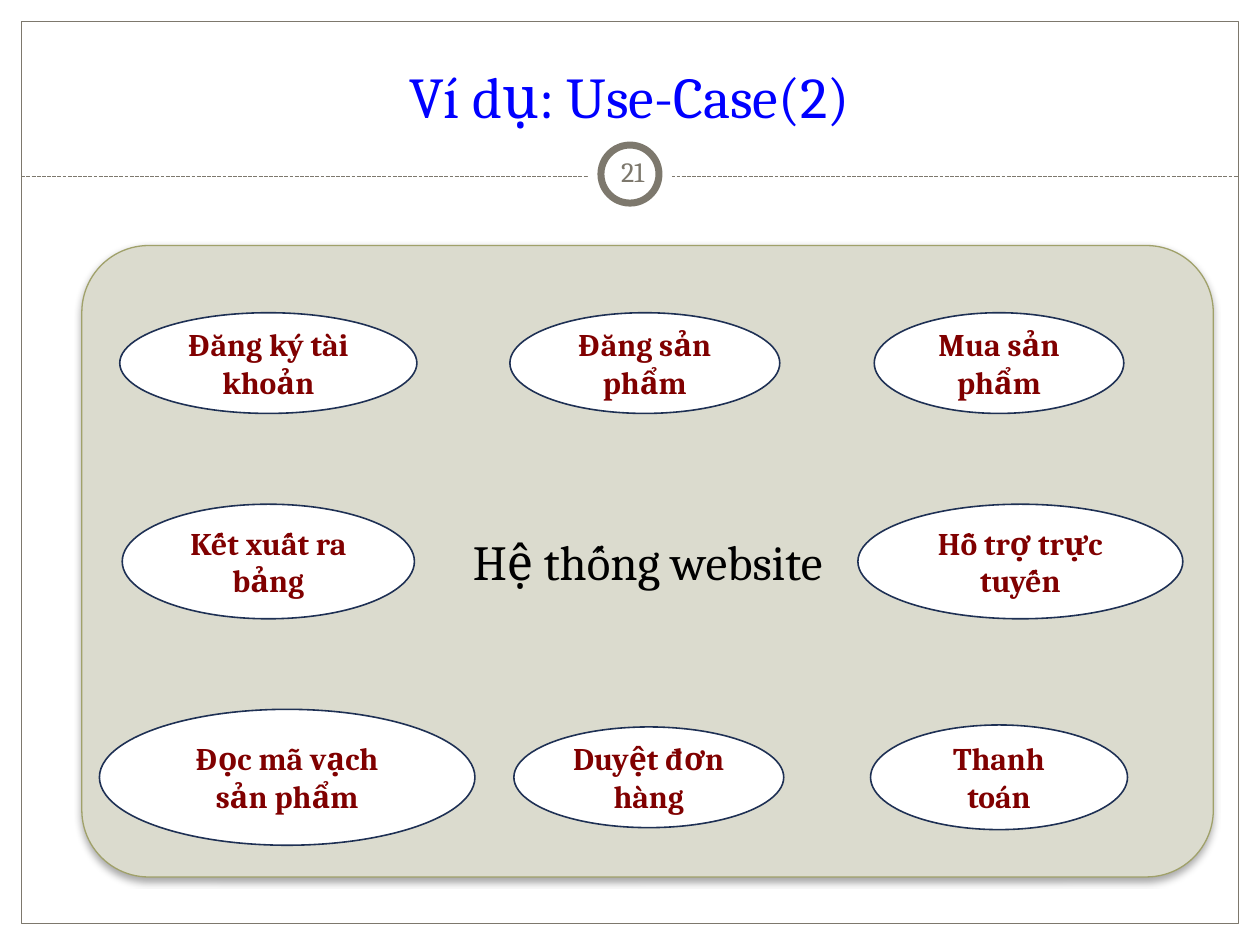
from lxml.etree import SubElement
from pptx import Presentation
from pptx.dml.color import RGBColor
from pptx.enum.dml import MSO_LINE
from pptx.enum.shapes import MSO_CONNECTOR, MSO_SHAPE as SHAPE
from pptx.enum.text import MSO_ANCHOR as ANCHOR, MSO_AUTO_SIZE, PP_ALIGN
from pptx.oxml.ns import qn
from pptx.util import Cm, Pt

# Content
TITLE = "Ví dụ: Use-Case(2)"
SYSTEM = "Hệ thống website"
NUMBER = "21"
# Each row: centre height, then use cases as (text, centre x, width, height)
ROWS = [
    (7.32, [("Đăng ký tài khoản", 5.41, 5.99, 2.03),
            ("Đăng sản phẩm", 13, 5.44, 2.03),
            ("Mua sản phẩm", 20.14, 5.03, 2.03)]),
    (11.32, [("Kết xuất ra bảng", 5.41, 5.89, 2.31),
             ("Hỗ trợ trực tuyến", 20.57, 6.55, 2.31)]),
    (15.67, [("Đọc mã vạch sản phẩm", 5.79, 7.57, 2.74),
             ("Duyệt đơn hàng", 13.08, 5.44, 2.03),
             ("Thanh toán", 20.14, 5.18, 2.11)]),
]
FONT = "Cambria"
GREY, WHITE = "7D786D", "FFFFFF"
W, H, MARGIN = 25.4, 19.05, 0.43
RULE_Y, BADGE_Y = 3.56, 3.51


def rgb(value):
    return RGBColor.from_string(value)


def write(shape, text, size, color, bold=False, anchor=ANCHOR.MIDDLE):
    tf = shape.text_frame
    tf.word_wrap = True
    tf.auto_size = MSO_AUTO_SIZE.NONE
    tf.vertical_anchor = anchor
    p = tf.paragraphs[0]
    p.alignment = PP_ALIGN.CENTER
    r = p.add_run()
    r.text = text
    r.font.name, r.font.size, r.font.bold = FONT, Pt(size), bold
    r.font.color.rgb = rgb(color)


def add_shape(kind, x, y, w, h, fill=None, line=None, width=0.75):
    sp = s.shapes.add_shape(kind, Cm(x), Cm(y), Cm(w), Cm(h))
    sp.shadow.inherit = False
    if fill:
        sp.fill.solid()
        sp.fill.fore_color.rgb = rgb(fill)
    else:
        sp.fill.background()
    if line:
        sp.line.color.rgb = rgb(line)
        sp.line.width = Pt(width)
    else:
        sp.line.fill.background()
    return sp


def add_oval(cx, cy, w, h, **style):
    return add_shape(SHAPE.OVAL, cx - w / 2, cy - h / 2, w, h, **style)


def add_shadow(sp, color, alpha, blur, dist, angle):
    effects = sp._element.spPr.find(qn("a:effectLst"))
    shadow = SubElement(effects, qn("a:outerShdw"), blurRad=str(Pt(blur)),
                        dist=str(Pt(dist)), dir=str(angle * 60000), rotWithShape="0")
    clr = SubElement(shadow, qn("a:srgbClr"), val=color)
    SubElement(clr, qn("a:alpha"), val=str(alpha * 1000))


prs = Presentation()
prs.slide_width, prs.slide_height = Cm(W), Cm(H)
s = prs.slides.add_slide(prs.slide_layouts[5])

# Frame and dashed rule
add_shape(SHAPE.RECTANGLE, MARGIN, MARGIN, W - 2 * MARGIN, H - 2 * MARGIN, line=GREY)
rule = s.shapes.add_connector(MSO_CONNECTOR.STRAIGHT, Cm(MARGIN), Cm(RULE_Y),
                              Cm(W - MARGIN), Cm(RULE_Y))
rule.line.color.rgb = rgb(GREY)
rule.line.width = Pt(0.75)
rule.line.dash_style = MSO_LINE.SQUARE_DOT
SubElement(rule._element.spPr, qn("a:effectLst"))

# Number badge
add_oval(W / 2, BADGE_Y, 1.7, 1.7, fill=WHITE)
add_oval(W / 2, BADGE_Y, 1.17, 1.17, fill=WHITE, line=GREY, width=4)

# Title
title = s.shapes.title
title.left, title.top, title.width, title.height = Cm(0.84), Cm(0.64), Cm(23.7), Cm(2.11)
write(title, TITLE, 33, "0000FF", anchor=ANCHOR.BOTTOM)

# System boundary
system = add_shape(SHAPE.ROUNDED_RECTANGLE, 1.65, 4.95, 22.81, 12.73,
                   fill="DBDBCE", line="A0A16A")
system.adjustments[0] = 0.106
add_shadow(system, "000000", alpha=35, blur=4, dist=2, angle=90)
write(system, SYSTEM, 28, "000000")

# Use cases
for cy, cases in ROWS:
    for text, cx, w, h in cases:
        oval = add_oval(cx, cy, w, h, fill=WHITE, line="1E3054", width=0.9)
        write(oval, text, 18, "800000", bold=True)

# Slide number
number = s.shapes.add_textbox(Cm(12.12), Cm(2.84), Cm(1.27), Cm(1.22))
tf = number.text_frame
tf.margin_left = tf.margin_right = tf.margin_top = tf.margin_bottom = Cm(0.13)
write(number, NUMBER, 16, GREY)

prs.save("out.pptx")
